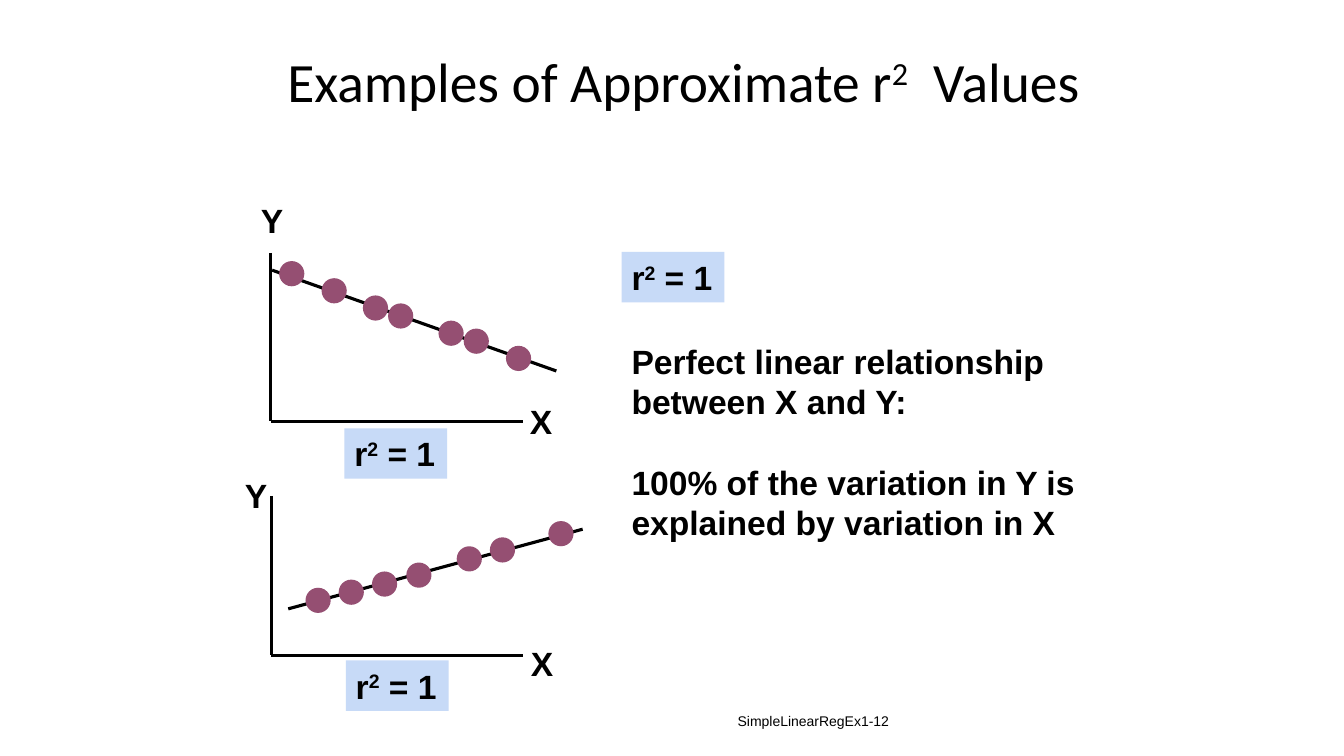
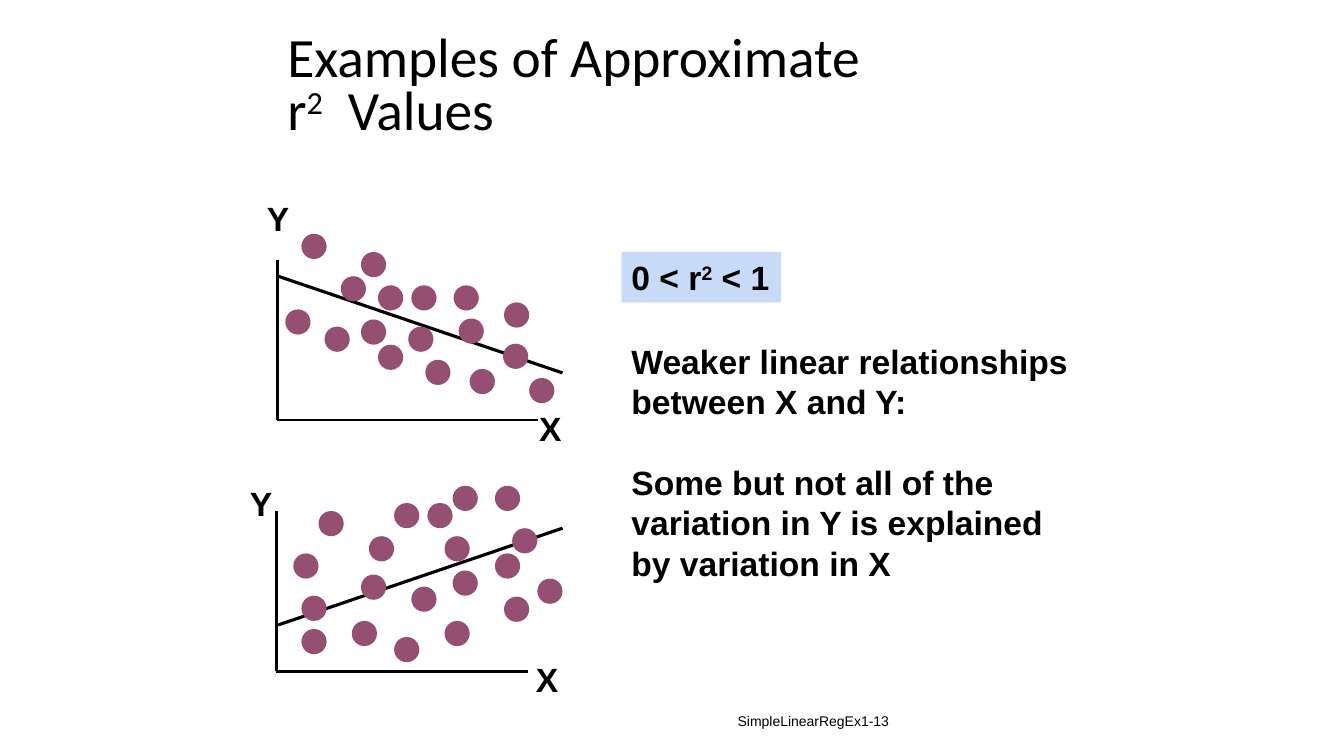
from dataclasses import dataclass

from lxml import etree
from pptx import Presentation
from pptx.dml.color import RGBColor
from pptx.enum import shapes, text
from pptx.oxml.ns import qn
from pptx.util import Pt


@dataclass(frozen=True)
class Theme:
    ink: RGBColor = RGBColor(0, 0, 0)
    dot: RGBColor = RGBColor(0x95, 0x4F, 0x72)
    tag: RGBColor = RGBColor(0xC7, 0xDA, 0xF7)
    title_font: str = "Calibri"
    body_font: str = "Arial"
    title_size: float = 39.6
    body_size: float = 24
    footer_size: float = 10
    body_leading: float = 28.8
    axis_width: float = 2
    trend_width: float = 2.25
    dot_size: float = 18


@dataclass(frozen=True)
class Plot:
    """Origin, ends of the axes, trend line, label corners and dot corners."""
    origin: tuple
    y_top: float
    x_right: float
    trend: tuple
    y_label: tuple
    x_label: tuple
    dots: tuple


T = Theme()
TAG_WIDTH = 73.5
TAG_LEFT, TAG_TOP = 444, 180
ONE = "r^2^ = 1"

PERFECT_PLOTS = (
    Plot((193.5, 301), 180.7, 373.7, (194.4, 193, 397.4, 265),
         (179.3, 139), (371.5, 283),
         ((199.4, 186.5), (229.7, 198.7), (259.2, 211), (277.2, 216.7),
          (313.2, 229), (331.2, 234.7), (361.4, 247))),
    Plot((193.7, 468), 354.2, 373.7, (205.9, 434.9, 416.2, 378),
         (167.8, 335.5), (372.2, 455.8),
         ((218.2, 419.8), (241.9, 414), (265.7, 408.2), (290.2, 401.8),
          (326.2, 390.2), (349.9, 383.8), (391.7, 372.2))),
)

WEAKER_PLOTS = (
    Plot((198, 300), 186, 384, (198.7, 197.3, 401.8, 266.4),
         (183.6, 137.5), (378, 288),
         ((203.8, 221), (215.3, 167), (231.8, 233.3), (243.4, 197.3),
          (257.8, 180), (257.8, 228.2), (270, 203.8), (270, 246.2),
          (291.6, 233.3), (293.8, 203.8), (303.8, 257), (324, 203.8),
          (327.6, 227.5), (335.5, 263.5), (359.3, 245.5), (360, 216),
          (378, 270))),
    Plot((197.5, 479.5), 365, 377.3, (198.7, 446.4, 401.8, 377.3),
         (171.4, 341.3), (375.8, 467.3),
         ((209.5, 395.3), (215.3, 425.5), (215.3, 449.3), (227.5, 365),
          (251.3, 443.5), (257.8, 410.4), (263.5, 383), (281.5, 359.3),
          (281.5, 455), (293.8, 419), (305.3, 359.3), (317.5, 383),
          (317.5, 443.5), (323.3, 347), (323.3, 407.5), (353.5, 347),
          (353.5, 395.3), (360, 426.2), (365.8, 377.3), (383.8, 413.3))),
)


def add_runs(p, content, font, size, bold=False):
    """Add runs; carets enclose a superscript, a newline breaks the line."""
    for i, part in enumerate(content.split("^")):
        for j, line in enumerate(part.split("\n")):
            if j:
                p.add_line_break()
            r = p.add_run()
            r.text = line
            r.font.name, r.font.size, r.font.bold = font, Pt(size), bold
            r.font.color.rgb = T.ink
            if i % 2:
                r._r.get_or_add_rPr().set("baseline", "30000")


def add_title(slide, content, top, height):
    sp = slide.shapes.title
    sp.left, sp.top, sp.width, sp.height = Pt(198), Pt(top), Pt(613.5), Pt(height)
    tf = sp.text_frame
    tf.auto_size = text.MSO_AUTO_SIZE.NONE
    tf.vertical_anchor = text.MSO_ANCHOR.MIDDLE
    p = tf.paragraphs[0]
    p.alignment = text.PP_ALIGN.LEFT
    p.line_spacing = 0.8
    add_runs(p, content, T.title_font, T.title_size)


def add_body(slide, paragraphs, left, top, width, height=36, wrap=False):
    """Add bold text whose paragraphs stand one line apart."""
    sp = slide.shapes.add_textbox(Pt(left), Pt(top), Pt(width), Pt(height))
    tf = sp.text_frame
    tf.word_wrap = wrap
    tf.auto_size = text.MSO_AUTO_SIZE.SHAPE_TO_FIT_TEXT
    for i, content in enumerate(paragraphs):
        p = tf.add_paragraph() if i else tf.paragraphs[0]
        p.line_spacing = Pt(T.body_leading)
        if i:
            p.space_before = Pt(T.body_leading)
        add_runs(p, content, T.body_font, T.body_size, bold=True)
    return sp


def add_tag(slide, content, left, top, width=TAG_WIDTH):
    sp = add_body(slide, [content], left, top, width)
    sp.fill.solid()
    sp.fill.fore_color.rgb = T.tag


def add_line(slide, x1, y1, x2, y2, width):
    line = slide.shapes.add_connector(
        shapes.MSO_CONNECTOR.STRAIGHT, Pt(x1), Pt(y1), Pt(x2), Pt(y2))
    line.line.color.rgb = T.ink
    line.line.width = Pt(width)
    etree.SubElement(line._element.spPr, qn("a:effectLst"))


def add_dot(slide, left, top):
    sp = slide.shapes.add_shape(
        shapes.MSO_SHAPE.OVAL, Pt(left), Pt(top), Pt(T.dot_size), Pt(T.dot_size))
    sp.shadow.inherit = False
    sp.fill.solid()
    sp.fill.fore_color.rgb = T.dot
    sp.line.fill.background()


def add_plot(slide, plot):
    x, y = plot.origin
    add_line(slide, x, plot.y_top, x, y, T.axis_width)
    add_line(slide, x, y, plot.x_right, y, T.axis_width)
    add_line(slide, *plot.trend, T.trend_width)
    for corner in plot.dots:
        add_dot(slide, *corner)
    for name, corner in (("Y", plot.y_label), ("X", plot.x_label)):
        add_body(slide, [name], *corner, 30.4)


def add_footer(slide, content):
    sp = slide.shapes.add_textbox(Pt(318), Pt(500.5), Pt(324), Pt(28.8))
    tf = sp.text_frame
    tf.word_wrap = True
    tf.vertical_anchor = text.MSO_ANCHOR.MIDDLE
    p = tf.paragraphs[0]
    p.alignment = text.PP_ALIGN.RIGHT
    add_runs(p, content, T.body_font, T.footer_size)


def add_example_slide(prs, title, title_box, plots, tag, tag_width,
                      remarks, remarks_size, number):
    slide = prs.slides.add_slide(prs.slide_layouts[5])
    add_title(slide, title, *title_box)
    for plot in plots:
        add_plot(slide, plot)
    add_tag(slide, tag, TAG_LEFT, TAG_TOP, tag_width)
    add_body(slide, remarks, TAG_LEFT, 240, *remarks_size, wrap=True)
    add_footer(slide, f"SimpleLinearRegEx1-{number}")
    return slide


def main():
    prs = Presentation()
    prs.slide_width, prs.slide_height = Pt(960), Pt(540)

    slide = add_example_slide(
        prs, "Examples of Approximate r^2^  Values", (19.5, 84),
        PERFECT_PLOTS, ONE, TAG_WIDTH,
        ["Perfect linear relationship between X and Y:",
         "100% of the variation in Y is explained by variation in X"],
        (348, 152.5), 12)
    add_tag(slide, ONE, 246, 306)
    add_tag(slide, ONE, 247, 471.8)

    add_example_slide(
        prs, "Examples of Approximate \nr^2^  Values", (24, 78),
        WEAKER_PLOTS, "0 < r^2^ < 1", 114,
        ["Weaker linear relationships between X and Y:",
         "Some but not all of the variation in Y is explained by variation in X"],
        (330, 181.5), 13)

    prs.save("out.pptx")


if __name__ == "__main__":
    main()
